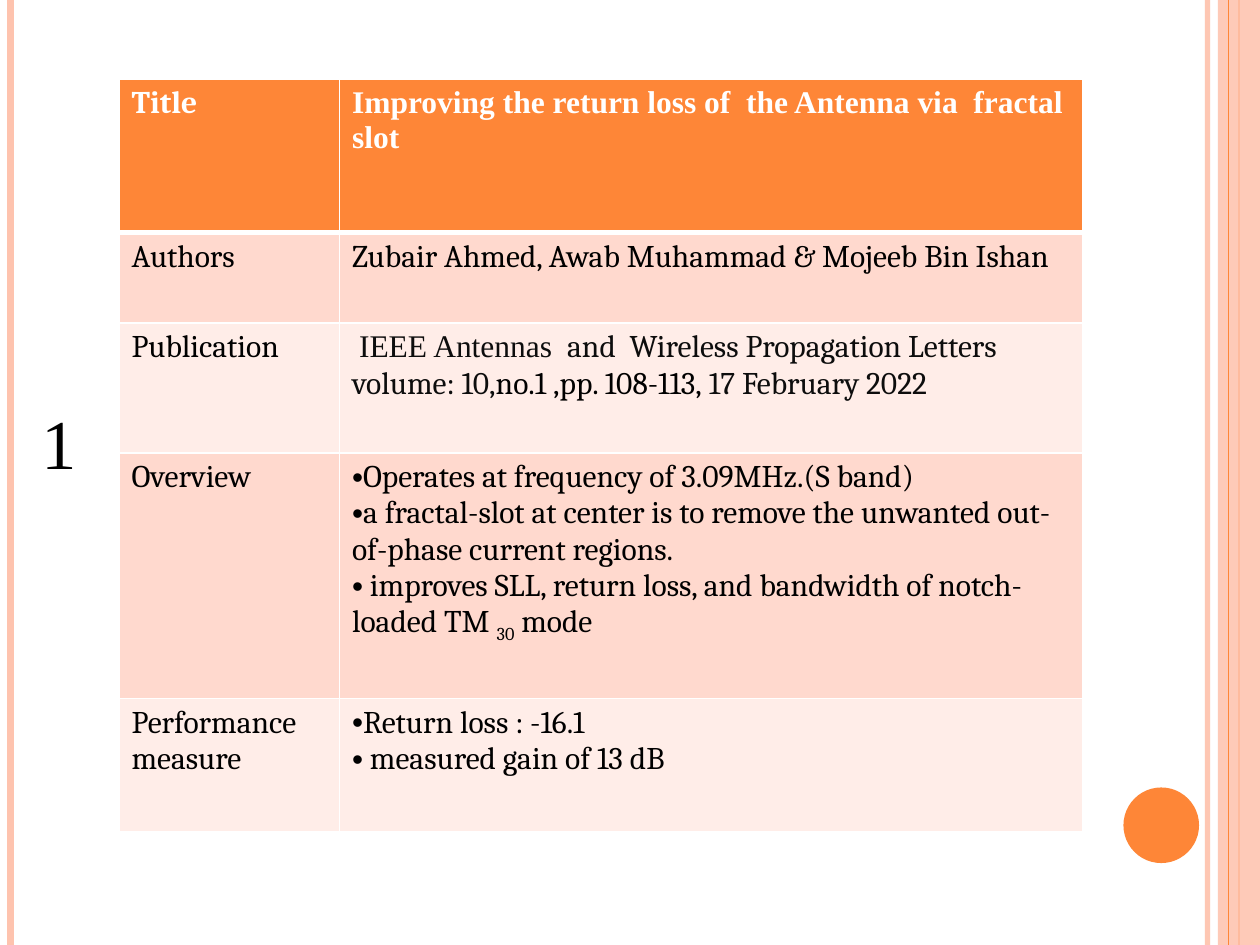
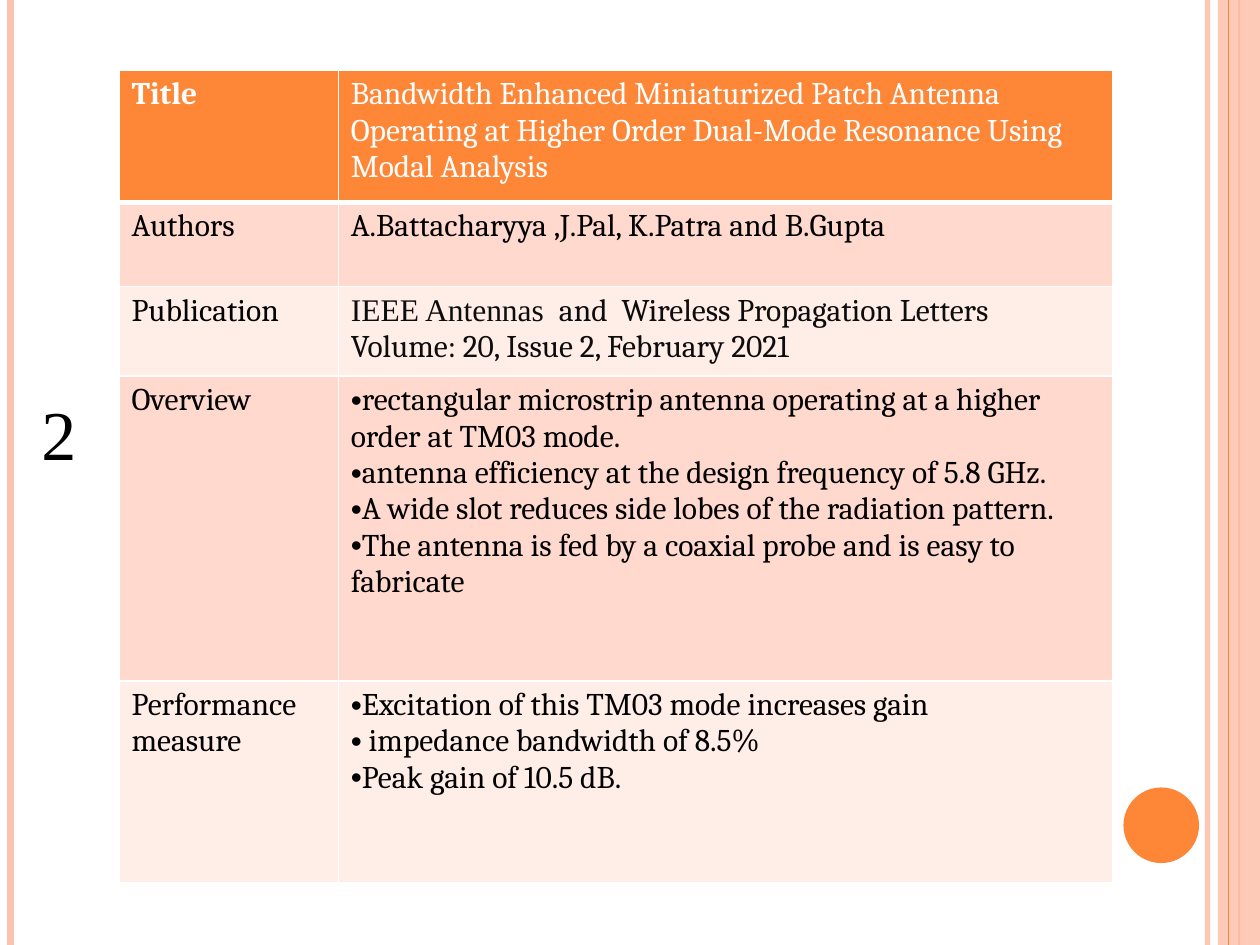
from dataclasses import dataclass

from lxml import etree
from pptx import Presentation
from pptx.dml.color import RGBColor
from pptx.enum.shapes import MSO_CONNECTOR, MSO_SHAPE
from pptx.oxml.ns import qn
from pptx.util import Pt

STRAIGHT = MSO_CONNECTOR.STRAIGHT
RECTANGLE = MSO_SHAPE.RECTANGLE
OVAL = MSO_SHAPE.OVAL

ORANGE = RGBColor(0xFE, 0x86, 0x37)
PEACH = RGBColor(0xFE, 0xC3, 0xAE)
ROW_DARK = RGBColor(0xFF, 0xD9, 0xCE)
ROW_LIGHT = RGBColor(0xFF, 0xED, 0xE8)
WHITE = RGBColor(0xFF, 0xFF, 0xFF)
BLACK = RGBColor(0x00, 0x00, 0x00)
INK = RGBColor(0x0D, 0x0D, 0x0D)

SERIF = "Times New Roman"
BODY = "Cambria"
PAGE_WIDTH, PAGE_HEIGHT = 720, 540
TABLE_LEFT = 68
LABELS = ("Title", "Authors", "Publication", "Overview", "Performance measure")


@dataclass
class Span:
    text: str
    font: str = BODY
    color: RGBColor = BLACK
    bold: bool = False
    baseline: int = 0


@dataclass
class Paragraph:
    spans: list[Span]
    bullet: bool = False


@dataclass
class Stripe:
    x: float
    width: float
    color: RGBColor
    opacity: int = 100


@dataclass
class Paper:
    number: str
    number_top: float
    number_width: float
    table_top: float
    columns: tuple[float, ...]
    rows: tuple[float, ...]
    details: list[list[Paragraph]]


def plain(text: str, **look) -> list[Paragraph]:
    return [Paragraph([Span(text, **look)])]


def bullets(*items: str) -> list[Paragraph]:
    return [Paragraph([Span(item)], bullet=True) for item in items]


STRIPES_BEHIND = [
    Stripe(690, 3, PEACH, 93),
    Stripe(6, 4.5, PEACH),
    Stripe(708, 1.5, ORANGE),
]
STRIPE_FRONT = Stripe(702, 0.75, ORANGE)

PAPERS = [
    Paper(
        "1", 224.6, 45.4, 45, (126, 424.8), (87.8, 51.8, 74.2, 140.4, 76.3),
        [
            plain("Improving the return loss of  the Antenna via  fractal slot",
                  font=SERIF, color=WHITE, bold=True),
            plain("Zubair Ahmed, Awab Muhammad & Mojeeb Bin Ishan"),
            [Paragraph([
                Span(" ", bold=True),
                Span("IEEE Antennas ", font=SERIF, color=INK),
                Span(" and  Wireless Propagation Letters volume: 10,", color=INK),
                Span("no.1 ,pp. 108-113,"),
                Span(" 17 February 2022", color=INK),
            ])],
            bullets(
                "Operates at frequency of 3.09MHz.(S band)",
                "a fractal-slot at center is to remove the unwanted "
                "out-of-phase current regions.",
            ) + [Paragraph([
                Span(" improves SLL, return loss, and bandwidth of "
                     "notch-loaded TM "),
                Span("30", baseline=-25),
                Span(" mode"),
            ], bullet=True)],
            bullets("Return loss : -16.1", " measured gain of 13 dB"),
        ],
    ),
    Paper(
        "2", 219.6, 39.6, 40, (125.3, 442.8), (75.6, 48.2, 51.1, 174.2, 115.2),
        [
            plain("Bandwidth Enhanced Miniaturized Patch Antenna Operating at "
                  "Higher Order Dual-Mode Resonance Using Modal Analysis",
                  color=WHITE),
            plain("A.Battacharyya ,J.Pal, K.Patra and B.Gupta"),
            [Paragraph([
                Span("IEEE Antennas ", font=SERIF, color=INK),
                Span(" and  Wireless Propagation Letters  Volume: 20, "
                     "Issue 2, February 2021", color=INK),
            ])],
            bullets(
                "rectangular microstrip antenna operating at a higher order "
                "at TM03 mode.",
                "antenna efficiency at the design frequency of 5.8 GHz.",
                "A wide slot reduces side lobes of the radiation pattern.",
                "The antenna is fed by a coaxial probe and is easy to fabricate",
            ),
            bullets(
                "Excitation of this TM03 mode increases gain",
                " impedance bandwidth of 8.5%",
                "Peak gain of 10.5 dB.",
            ),
        ],
    ),
]


def set_opacity(shape, percent: int) -> None:
    color = shape._element.spPr.find(".//" + qn("a:srgbClr"))
    etree.SubElement(color, qn("a:alpha"), val=str(percent * 1000))


def add_text(para, text: str, *, size: float, font: str, color: RGBColor,
             bold: bool = False, baseline: int = 0) -> None:
    run = para.add_run()
    run.text = text
    run.font.size = Pt(size)
    run.font.name = font
    run.font.bold = bold
    run.font.color.rgb = color
    if baseline:
        run._r.get_or_add_rPr().set("baseline", str(baseline * 1000))


def add_bullet(para) -> None:
    properties = para._p.get_or_add_pPr()
    properties.set("marL", "0")
    properties.set("indent", "0")
    etree.SubElement(properties, qn("a:buFont"), typeface="Arial")
    etree.SubElement(properties, qn("a:buChar"), char="•")


def add_stripe(page, stripe: Stripe) -> None:
    line = page.shapes.add_connector(
        STRAIGHT, Pt(stripe.x), Pt(0), Pt(stripe.x), Pt(PAGE_HEIGHT))
    line.line.color.rgb = stripe.color
    line.line.width = Pt(stripe.width)
    etree.SubElement(line._element.spPr, qn("a:effectLst"))
    if stripe.opacity < 100:
        set_opacity(line, stripe.opacity)


def add_plain_shape(page, kind, left: float, top: float, width: float,
                    height: float, color: RGBColor):
    shape = page.shapes.add_shape(kind, Pt(left), Pt(top), Pt(width), Pt(height))
    shape.shadow.inherit = False
    shape.fill.solid()
    shape.fill.fore_color.rgb = color
    shape.line.fill.background()
    return shape


def add_decoration(page) -> None:
    for stripe in STRIPES_BEHIND:
        add_stripe(page, stripe)
    band = add_plain_shape(page, RECTANGLE, 696, 0, 24, PAGE_HEIGHT, PEACH)
    set_opacity(band, 87)
    add_stripe(page, STRIPE_FRONT)
    add_plain_shape(page, OVAL, 642, 450, 43.2, 43.2, ORANGE)


def set_borders(cell, top: float, bottom: float) -> None:
    properties = cell._tc.get_or_add_tcPr()
    for side, width in (("L", 1), ("R", 1), ("T", top), ("B", bottom)):
        line = etree.SubElement(properties, qn(f"a:ln{side}"), w=str(Pt(width)))
        fill = etree.SubElement(line, qn("a:solidFill"))
        etree.SubElement(fill, qn("a:srgbClr"), val=str(WHITE))


def fill_cell(cell, row: int, paragraphs: list[Paragraph]) -> None:
    # Borders come before the fill in the cell properties
    set_borders(cell, top=3 if row == 1 else 1, bottom=3 if row == 0 else 1)
    cell.fill.solid()
    body_color = ROW_DARK if row % 2 else ROW_LIGHT
    cell.fill.fore_color.rgb = ORANGE if row == 0 else body_color
    frame = cell.text_frame
    for index, paragraph in enumerate(paragraphs):
        para = frame.add_paragraph() if index else frame.paragraphs[0]
        if paragraph.bullet:
            add_bullet(para)
        for span in paragraph.spans:
            add_text(para, span.text, size=18, font=span.font, color=span.color,
                     bold=span.bold, baseline=span.baseline)


def add_paper_table(page, paper: Paper) -> None:
    table = page.shapes.add_table(
        len(paper.rows), len(paper.columns), Pt(TABLE_LEFT), Pt(paper.table_top),
        Pt(sum(paper.columns)), Pt(sum(paper.rows))).table
    for column, width in zip(table.columns, paper.columns):
        column.width = Pt(width)
    for row, (label, detail) in enumerate(zip(LABELS, paper.details)):
        table.rows[row].height = Pt(paper.rows[row])
        is_header = row == 0
        heading = plain(label, color=WHITE if is_header else BLACK, bold=is_header)
        fill_cell(table.cell(row, 0), row, heading)
        fill_cell(table.cell(row, 1), row, detail)


def add_number(page, paper: Paper) -> None:
    box = page.shapes.add_textbox(
        Pt(16.6), Pt(paper.number_top), Pt(paper.number_width), Pt(55.4))
    box.text_frame.word_wrap = True
    add_text(box.text_frame.paragraphs[0], paper.number, size=40, font=SERIF,
             color=BLACK)


def main() -> None:
    deck = Presentation()
    deck.slide_width, deck.slide_height = Pt(PAGE_WIDTH), Pt(PAGE_HEIGHT)
    blank_layout = deck.slide_layouts[6]
    for paper in PAPERS:
        page = deck.slides.add_slide(blank_layout)
        add_decoration(page)
        add_paper_table(page, paper)
        add_number(page, paper)
    deck.save("out.pptx")


if __name__ == "__main__":
    main()
